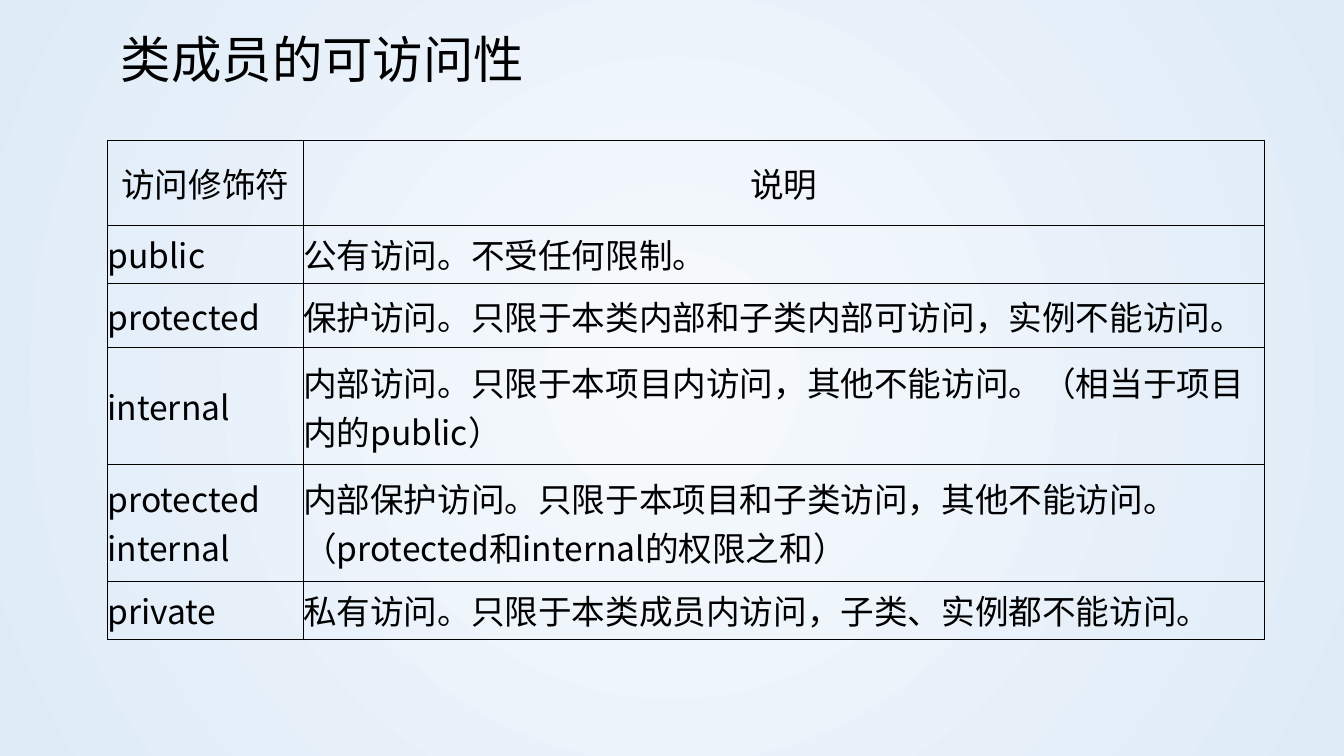
from lxml.etree import SubElement
from pptx import Presentation
from pptx.dml.color import RGBColor
from pptx.enum.text import MSO_ANCHOR as Anchor, PP_ALIGN as Align
from pptx.oxml import parse_xml
from pptx.oxml.ns import nsdecls, qn
from pptx.util import Pt

BLACK = RGBColor(0x00, 0x00, 0x00)
GLOW = RGBColor(0xF7, 0xFA, 0xFD)
SKY = RGBColor(0xDE, 0xEB, 0xF7)
CJK_FONT = "Noto Sans CJK SC"

TITLE_FONT = {"name": "Courier New", "size": Pt(36), "bold": False}
CELL_FONT = {"name": CJK_FONT, "size": Pt(24), "bold": False}
CELL_FORMAT = {"vertical_anchor": Anchor.MIDDLE, "margin_left": 0,
               "margin_right": 0, "margin_top": 0, "margin_bottom": 0}

COLUMN_WIDTHS = (139.7, 686.9)
ROW_HEIGHTS = (60.6, 41.6, 46.2, 83.2, 83.4, 41.6)
MODIFIERS = (
    ("访问修饰符", "说明"),
    ("public", "公有访问。不受任何限制。"),
    ("protected", "保护访问。只限于本类内部和子类内部可访问，实例不能访问。"),
    ("internal", "内部访问。只限于本项目内访问，其他不能访问。（相当于项目内的public）"),
    ("protected internal",
     "内部保护访问。只限于本项目和子类访问，其他不能访问。（protected和internal的权限之和）"),
    ("private", "私有访问。只限于本类成员内访问，子类、实例都不能访问。"),
)


def apply_format(target, values):
    for name, value in values.items():
        setattr(target, name, value)


def write(paragraph, text, font_values):
    run = paragraph.add_run()
    run.text = text
    apply_format(run.font, font_values)
    run.font.color.rgb = BLACK
    SubElement(run.font._element, qn("a:ea"), typeface=CJK_FONT)


def paint_background(slide):
    """Radial gradient, light in the centre."""
    fill = slide.background.fill
    fill.gradient()
    for stop, position, color in zip(fill.gradient_stops, (0, 1), (GLOW, SKY)):
        stop.position = position
        stop.color.rgb = color
    linear = slide._element.find(".//" + qn("a:lin"))
    linear.getparent().replace(linear, parse_xml(
        f'<a:path {nsdecls("a")} path="circle">'
        '<a:fillToRect l="50000" t="50000" r="50000" b="50000"/></a:path>'))


def place_title(slide, left, top, width, height):
    title = slide.shapes.title
    apply_format(title, {"left": Pt(left), "top": Pt(top),
                         "width": Pt(width), "height": Pt(height)})
    apply_format(title.text_frame, {"vertical_anchor": Anchor.TOP, "word_wrap": True})
    heading = title.text_frame.paragraphs[0]
    apply_format(heading, {"alignment": Align.LEFT, "line_spacing": 0.9,
                           "space_before": Pt(10)})
    write(heading, "类成员的可访问性", TITLE_FONT)


def draw_borders(cell):
    properties = cell._tc.get_or_add_tcPr()
    for index, side in enumerate(("lnL", "lnR", "lnT", "lnB")):
        properties.insert(index, parse_xml(
            f'<a:{side} {nsdecls("a")} w="{Pt(0.5)}"><a:solidFill>'
            f'<a:srgbClr val="{BLACK}"/></a:solidFill></a:{side}>'))


def place_modifier_table(slide, left, top):
    frame = slide.shapes.add_table(
        len(ROW_HEIGHTS), len(COLUMN_WIDTHS), Pt(left), Pt(top),
        Pt(sum(COLUMN_WIDTHS)), Pt(sum(ROW_HEIGHTS)))
    table = frame.table
    apply_format(table, {"first_row": False, "horz_banding": False})
    for column, width in zip(table.columns, COLUMN_WIDTHS):
        column.width = Pt(width)
    for row, height, entries in zip(table.rows, ROW_HEIGHTS, MODIFIERS):
        row.height = Pt(height)
        for cell, entry in zip(row.cells, entries):
            apply_format(cell, CELL_FORMAT)
            cell.fill.background()
            draw_borders(cell)
            paragraph = cell.text_frame.paragraphs[0]
            is_header = entries is MODIFIERS[0]
            paragraph.alignment = Align.CENTER if is_header else Align.LEFT
            write(paragraph, entry, CELL_FONT)


def main():
    deck = Presentation()
    apply_format(deck, {"slide_width": Pt(960), "slide_height": Pt(540)})
    slide = deck.slides.add_slide(deck.slide_layouts[5])
    paint_background(slide)
    place_title(slide, left=79.2, top=21.6, width=648, height=67)
    place_modifier_table(slide, left=76.8, top=100.1)
    deck.save("out.pptx")


if __name__ == "__main__":
    main()
